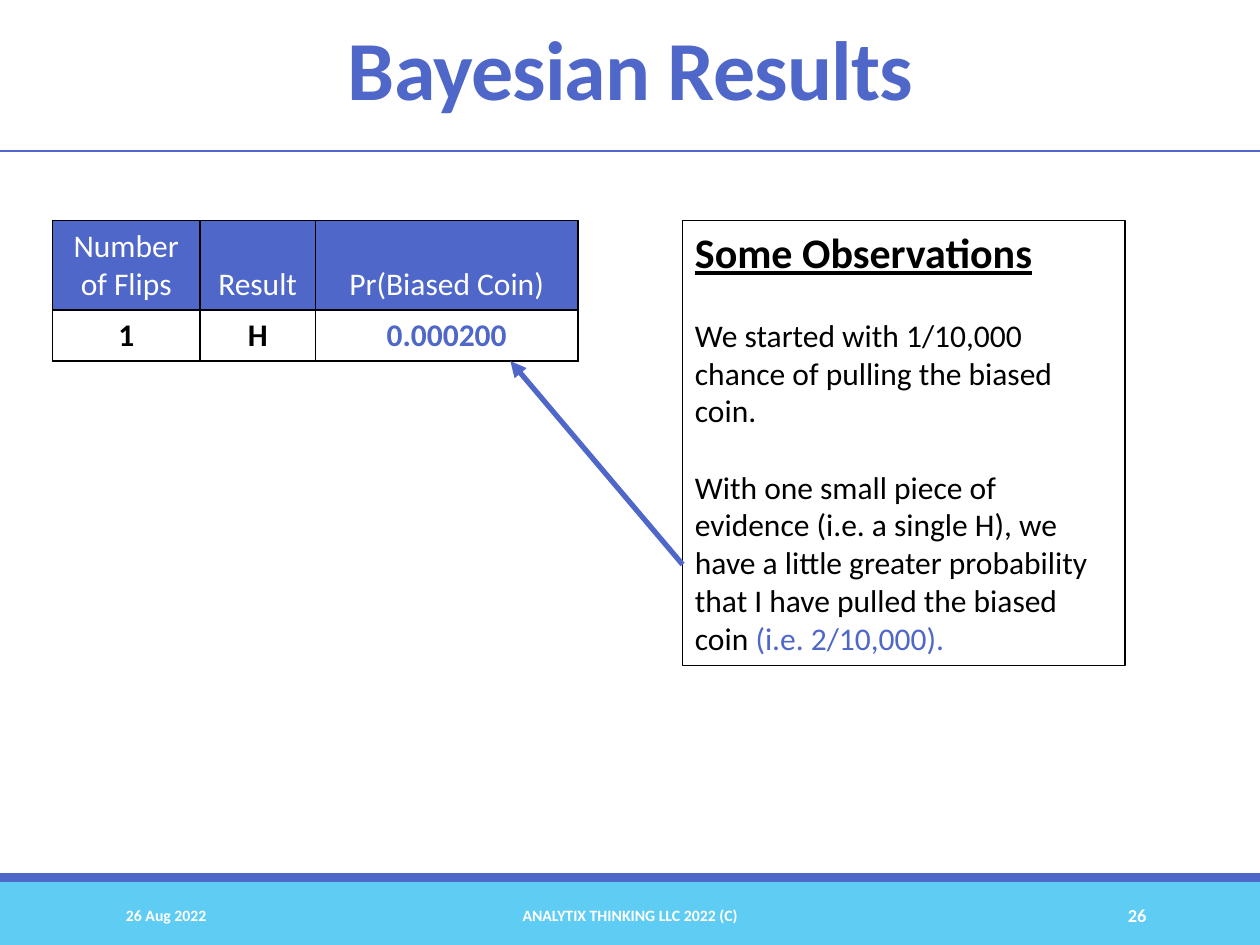
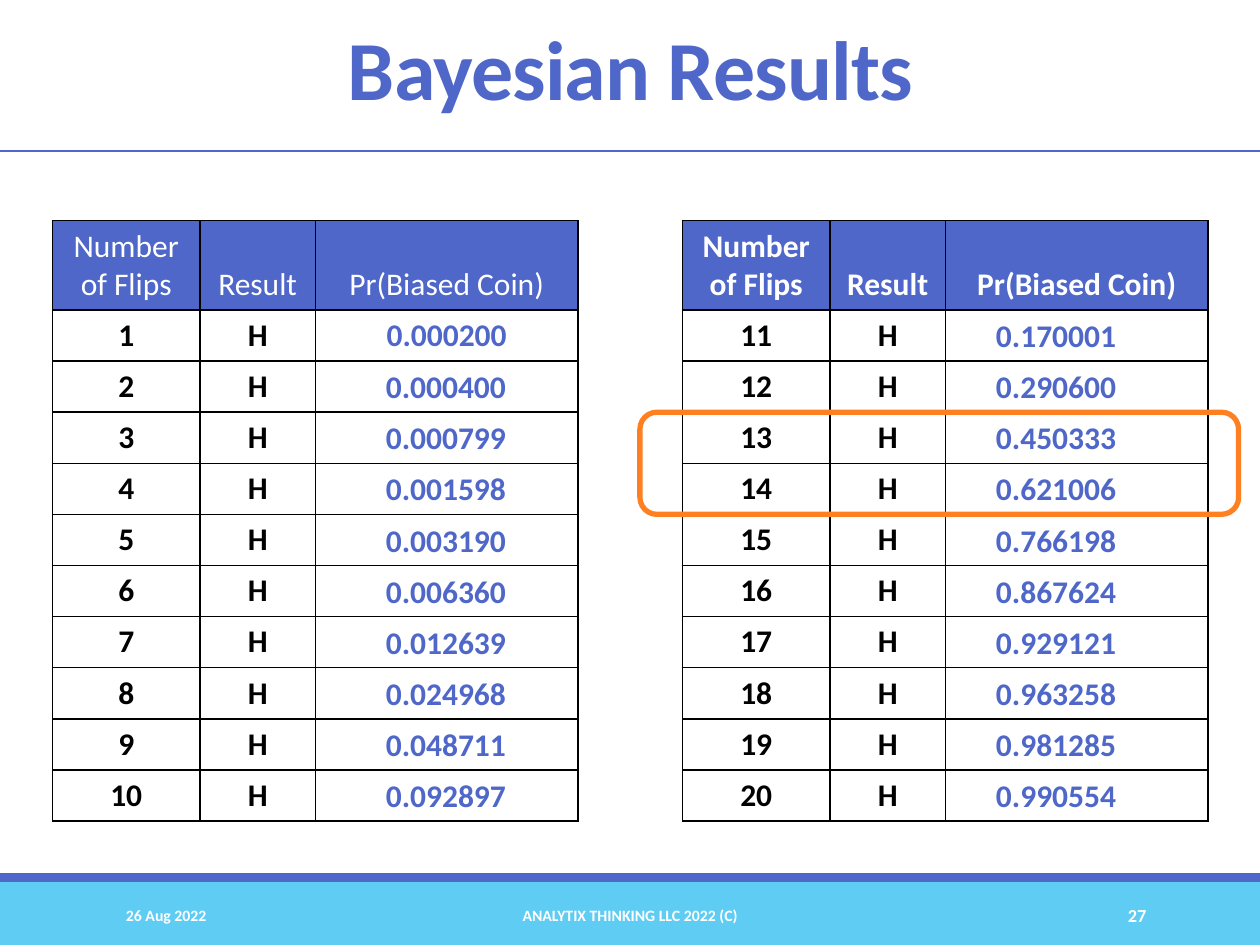
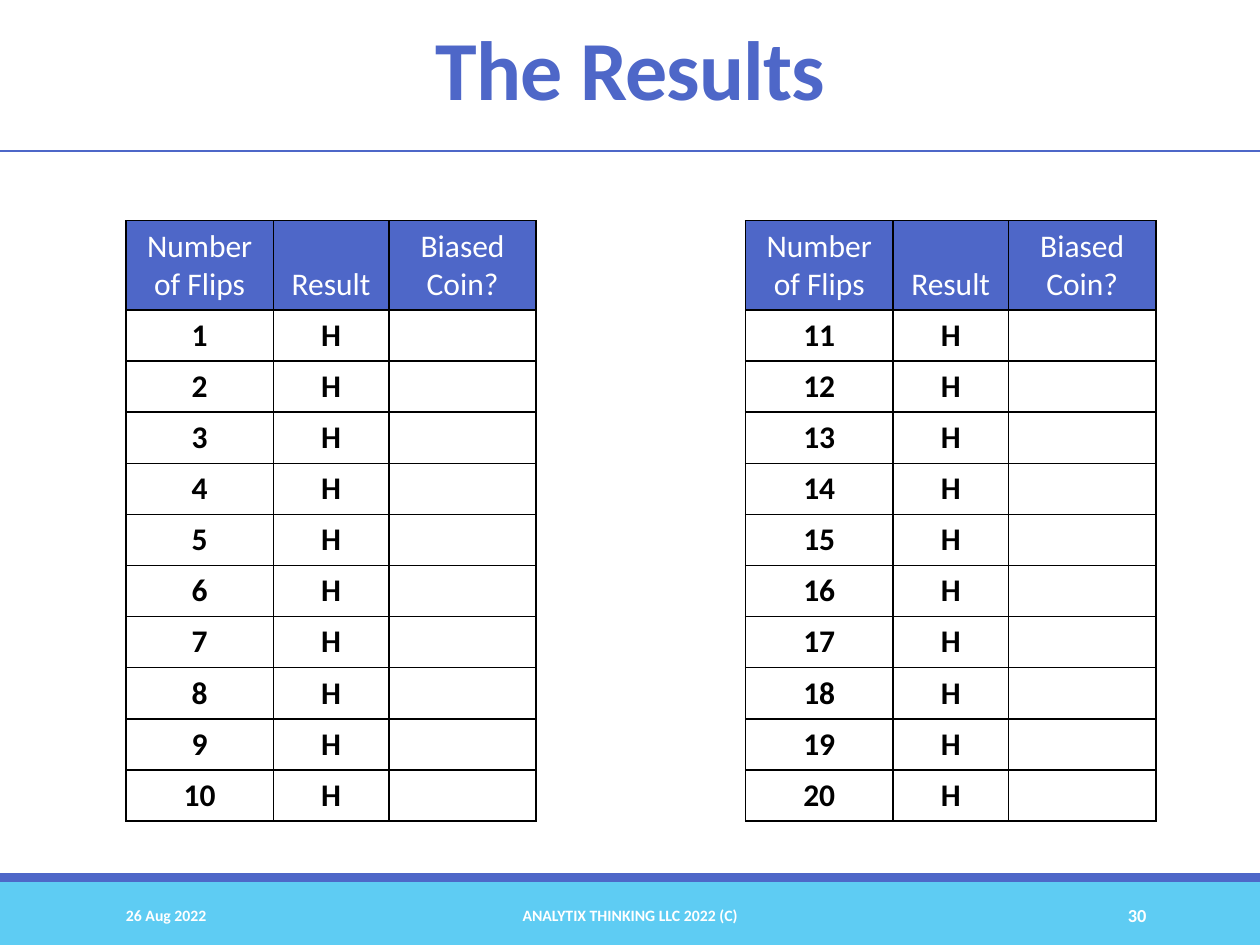
from dataclasses import dataclass

from lxml import etree
from pptx import Presentation
from pptx.dml.color import RGBColor
from pptx.enum.shapes import MSO_CONNECTOR, MSO_SHAPE
from pptx.enum.text import MSO_ANCHOR, MSO_AUTO_SIZE, PP_ALIGN
from pptx.oxml.ns import qn
from pptx.util import Cm, Pt

LEFT, MID, RIGHT = PP_ALIGN.LEFT, PP_ALIGN.CENTER, PP_ALIGN.RIGHT
TOP, CENTRE, BASE = MSO_ANCHOR.TOP, MSO_ANCHOR.MIDDLE, MSO_ANCHOR.BOTTOM
NO_FIT = MSO_AUTO_SIZE.NONE
RECT, ROUND = MSO_SHAPE.RECTANGLE, MSO_SHAPE.ROUNDED_RECTANGLE
STRAIGHT = MSO_CONNECTOR.STRAIGHT


@dataclass(frozen=True)
class Theme:
    font: str = "Calibri"
    blue: str = "4E67C8"
    sky: str = "5ECCF3"
    orange: str = "FF8021"
    black: str = "000000"
    white: str = "FFFFFF"
    title: float = 48
    head: float = 24
    body: float = 18
    page: float = 10.5
    foot: float = 9


T = Theme()

# Content
DATE = "26 Aug 2022"
OWNER = "ANALYTIX THINKING LLC 2022 (C)"
ODDS_HEAD = ("Number of Flips", "Result", "Pr(Biased Coin)")
GUESS_HEAD = ("Number of Flips", "Result", "Biased Coin?")
FIRST = "0.000200"
EARLY = ("0.000400", "0.000799", "0.001598", "0.003190", "0.006360",
         "0.012639", "0.024968", "0.048711", "0.092897")
LATE = ("0.170001", "0.290600", "0.450333", "0.621006", "0.766198",
        "0.867624", "0.929121", "0.963258", "0.981285", "0.990554")
NOTE_HEAD = "Some Observations"
NOTES = (
    (("We started with 1/10,000 chance of pulling the biased coin.", T.black),),
    (("With one small piece of evidence (i.e. a single H), we have a little "
      "greater probability that I have pulled the biased coin ", T.black),
     ("(i.e. 2/10,000).", T.blue)),
)

# Layout, in cm
WIDE, HIGH = 25.4, 19.05
GRID_TOP, HEAD_H, ROW_H = 4.45, 1.8, 1.03
ODDS_COLS = (2.97, 2.33, 5.29)
GUESS_COLS = (2.97, 2.33, 2.97)
ODDS_X = (1.06, 13.76)
GUESS_X = (2.54, 15.03)
ODD_W = 4.88


def row_top(row):
    """Top of a body row, counted from 0."""
    return GRID_TOP + HEAD_H + row * ROW_H


def box(*at):
    return [Cm(v) for v in at]


def rgb(code):
    return RGBColor.from_string(code)


def write(para, text, size, color, bold=False):
    run = para.add_run()
    run.text = text
    font = run.font
    font.name, font.size, font.bold = T.font, Pt(size), bold
    font.color.rgb = rgb(color)
    return run


def label(slide, at, text, size, color, align, anchor=TOP):
    frame = slide.shapes.add_textbox(*box(*at)).text_frame
    frame.word_wrap = True
    frame.vertical_anchor = anchor
    para = frame.paragraphs[0]
    para.alignment = align
    write(para, text, size, color, True)


def shape(slide, kind, at, fill=None, line=None, weight=1):
    item = slide.shapes.add_shape(kind, *box(*at))
    item.shadow.inherit = False
    if fill:
        item.fill.solid()
        item.fill.fore_color.rgb = rgb(fill)
    else:
        item.fill.background()
    if line:
        item.line.color.rgb = rgb(line)
        item.line.width = Pt(weight)
    else:
        item.line.fill.background()
    return item


def rule(slide, ends, weight, arrow=False):
    item = slide.shapes.add_connector(STRAIGHT, *box(*ends))
    item.line.color.rgb = rgb(T.blue)
    item.line.width = Pt(weight)
    if arrow:
        tip = etree.SubElement(item.line._get_or_add_ln(), qn("a:tailEnd"))
        tip.set("type", "triangle")
    etree.SubElement(item._element.spPr, qn("a:effectLst"))


def edge(cell):
    """Draw a thin black border round a cell."""
    props = cell._tc.get_or_add_tcPr()
    for spot, side in enumerate(("lnL", "lnR", "lnT", "lnB")):
        line = etree.Element(qn("a:" + side), w=str(Pt(1)))
        fill = etree.SubElement(line, qn("a:solidFill"))
        etree.SubElement(fill, qn("a:srgbClr"), val=T.black)
        props.insert(spot, line)


def grid(slide, left, cols, head, flips, odds="", strong=False):
    """Add a table of flips; odds goes in the first body row."""
    rows = [head] + [(str(n), "H", "") for n in flips]
    rows[1] = rows[1][:2] + (odds,)
    high = HEAD_H + ROW_H * len(flips)
    table = slide.shapes.add_table(
        len(rows), len(cols), *box(left, GRID_TOP, sum(cols), high)).table
    for col, width in zip(table.columns, cols):
        col.width = Cm(width)
    for r, row in enumerate(rows):
        table.rows[r].height = Cm(ROW_H if r else HEAD_H)
        for c, text in enumerate(row):
            cell = table.cell(r, c)
            cell.fill.solid()
            cell.fill.fore_color.rgb = rgb(T.white if r else T.blue)
            cell.vertical_anchor = CENTRE if r else BASE
            edge(cell)
            if text:
                para = cell.text_frame.paragraphs[0]
                para.alignment = MID
                ink = (T.blue if c == 2 else T.black) if r else T.white
                write(para, text, T.body, ink, strong or r > 0)


def odds_list(slide, left, values, start):
    for row, text in enumerate(values, start):
        label(slide, (left, row_top(row), ODD_W, ROW_H), text,
              T.body, T.blue, MID)


def base(deck, title, page):
    """Add a slide with its title, rule, bands and footer."""
    slide = deck.slides.add_slide(deck.slide_layouts[5])
    head = slide.shapes.title
    head.left, head.top, head.width, head.height = box(2.23, 0.41, 20.95, 2.18)
    frame = head.text_frame
    frame.auto_size = NO_FIT
    frame.vertical_anchor = CENTRE
    para = frame.paragraphs[0]
    para.alignment, para.line_spacing = MID, 0.85
    run = write(para, title, T.title, T.blue, True)
    run._r.get_or_add_rPr().set("spc", "-50")

    rule(slide, (0, 3.05, WIDE, 3.05), 1)
    shape(slide, RECT, (0, 17.78, WIDE, 1.27), T.sky)
    shape(slide, RECT, (0, 17.6, WIDE, 0.18), T.blue)
    for left, width, text, size, align in (
            (2.29, 5.16, DATE, T.foot, LEFT),
            (7.67, 10.06, OWNER, T.foot, MID),
            (20.62, 2.74, page, T.page, RIGHT)):
        label(slide, (left, 17.95, width, 1.01), text, size, T.white,
              align, CENTRE)
    return slide


def notes(slide):
    item = shape(slide, RECT, (ODDS_X[1], GRID_TOP, 8.92, 8.97),
                 line=T.black, weight=0.75)
    frame = item.text_frame
    frame.word_wrap = True
    frame.vertical_anchor = TOP
    para = frame.paragraphs[0]
    para.alignment = LEFT
    write(para, NOTE_HEAD, T.head, T.black, True).font.underline = True
    for runs in NOTES:
        para = frame.add_paragraph()
        para.alignment, para.space_before = LEFT, Pt(22)
        for text, color in runs:
            write(para, text, T.body, color)


def main():
    deck = Presentation()
    deck.slide_width, deck.slide_height = Cm(WIDE), Cm(HIGH)
    early, late = range(1, 11), range(11, 21)

    slide = base(deck, "Bayesian Results", "26")
    grid(slide, ODDS_X[0], ODDS_COLS, ODDS_HEAD, early[:1], FIRST)
    notes(slide)
    rule(slide, (ODDS_X[1], 11.38, 10.29, row_top(1)), 3, arrow=True)

    slide = base(deck, "Bayesian Results", "27")
    grid(slide, ODDS_X[0], ODDS_COLS, ODDS_HEAD, early, FIRST)
    grid(slide, ODDS_X[1], ODDS_COLS, ODDS_HEAD, late, strong=True)
    odds_list(slide, 6.55, EARLY, 1)
    odds_list(slide, 18.85, LATE, 0)
    shape(slide, ROUND, (12.9, row_top(2), 12.07, 2 * ROW_H),
          line=T.orange, weight=3)

    slide = base(deck, "The Results", "30")
    for left, flips in zip(GUESS_X, (early, late)):
        grid(slide, left, GUESS_COLS, GUESS_HEAD, flips)

    deck.save("out.pptx")


if __name__ == "__main__":
    main()
